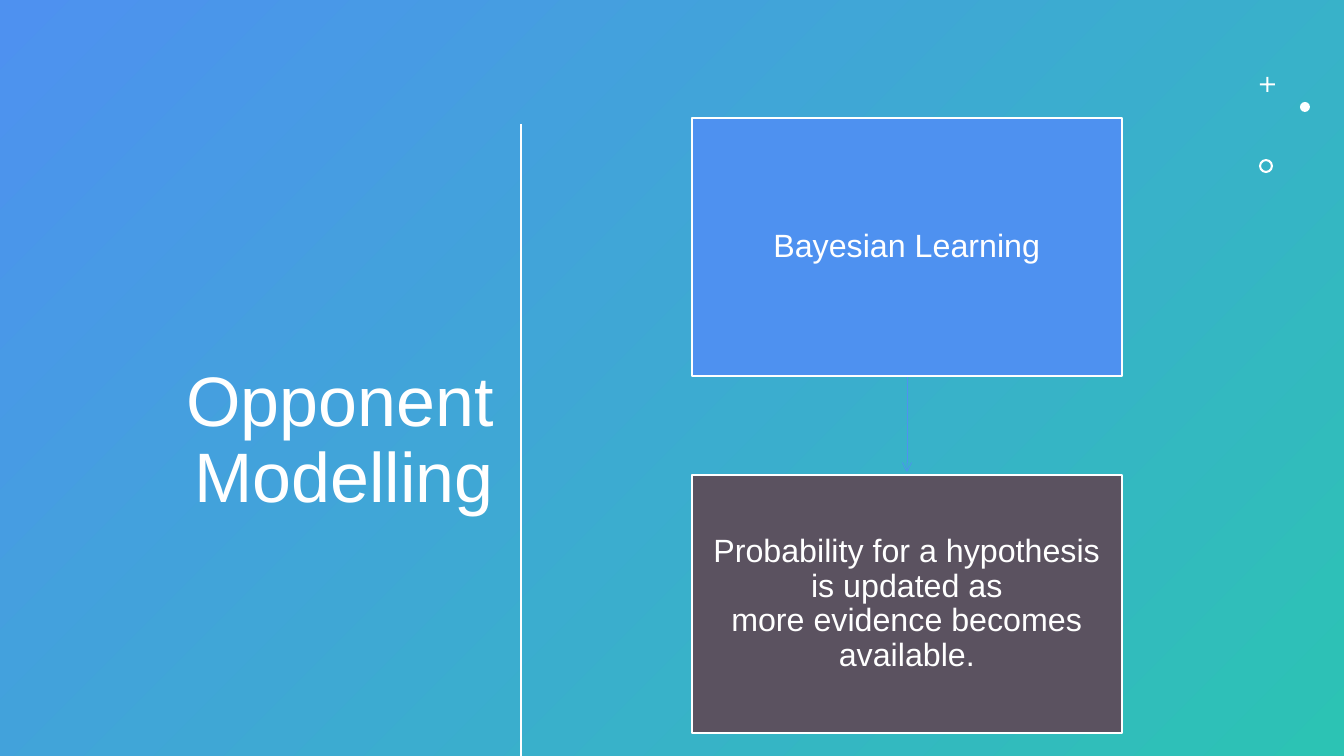
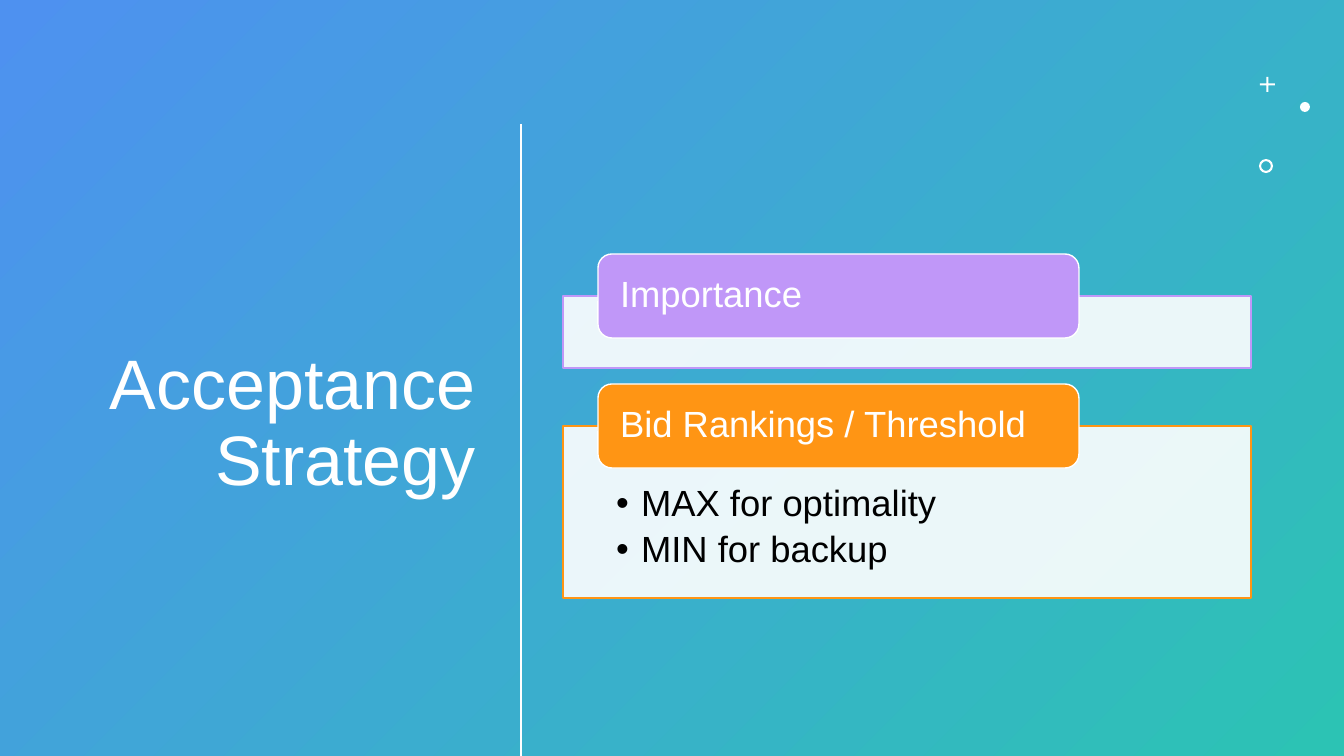
"""Build two slides on opponent modelling and acceptance strategy."""
from lxml.etree import SubElement
from pptx import Presentation
from pptx.dml.color import RGBColor
from pptx.enum.shapes import MSO_CONNECTOR, MSO_SHAPE
from pptx.enum.text import MSO_ANCHOR, PP_ALIGN
from pptx.oxml.ns import qn
from pptx.util import Emu, Pt

SCALE = 914400 / 100.8
WIDE, HIGH = 1344, 756
FONT = "Arial"
COLORS = {
    "white": "FFFFFF",
    "black": "000000",
    "blue": "4E91F0",
    "teal": "2CC3B4",
    "slate": "5B5260",
    "violet": "C097F8",
    "orange": "FF9514",
}


def px(num):
    return Emu(round(num * SCALE))


def color(name):
    return RGBColor.from_string(COLORS[name])


def write(shape, text, size=26, ink="white", align=PP_ALIGN.LEFT,
          anchor=MSO_ANCHOR.MIDDLE, pads=(10, 5, 10, 5), after=0, bullet=False):
    frame = shape.text_frame
    frame.word_wrap = True
    frame.vertical_anchor = anchor
    (frame.margin_left, frame.margin_top,
     frame.margin_right, frame.margin_bottom) = map(px, pads)
    for num, line in enumerate(text.split("\n")):
        para = frame.add_paragraph() if num else frame.paragraphs[0]
        para.alignment = align
        para.line_spacing = 0.9
        para.space_after = Pt(after)
        run = para.add_run()
        run.text = line
        run.font.name = FONT
        run.font.size = Pt(size)
        run.font.color.rgb = color(ink)
        if bullet:
            props = para._p.get_or_add_pPr()
            props.set("marL", str(px(25)))
            props.set("indent", str(-px(25)))
            SubElement(props, qn("a:buFont"), typeface=FONT)
            SubElement(props, qn("a:buChar"), char="•")


def block(slide, kind, box, fill, edge=None, alpha=None):
    shape = slide.shapes.add_shape(kind, *map(px, box))
    shape.shadow.inherit = False
    shape.fill.solid()
    shape.fill.fore_color.rgb = color(fill)
    if alpha:
        tint = shape.fill._xPr.find(".//" + qn("a:srgbClr"))
        SubElement(tint, qn("a:alpha"), val=str(alpha * 1000))
    if edge:
        shape.line.color.rgb = color(edge)
        shape.line.width = Pt(1)
    else:
        shape.line.fill.background()
    return shape


def rule(slide, start, end, ink, width, arrow=False):
    line = slide.shapes.add_connector(
        MSO_CONNECTOR.STRAIGHT, *map(px, start + end))
    line.line.color.rgb = color(ink)
    line.line.width = Pt(width)
    if arrow:
        SubElement(line.line._get_or_add_ln(), qn("a:tailEnd"), type="arrow")
    SubElement(line._element.spPr, qn("a:effectLst"))


def backdrop(slide):
    back = block(slide, MSO_SHAPE.RECTANGLE, (0, 0, WIDE, HIGH), "blue")
    back.fill.gradient()
    back.fill.gradient_angle = 315
    for stop, name in zip(back.fill.gradient_stops, ("blue", "teal")):
        stop.color.rgb = color(name)


def marks(slide):
    plus = block(slide, MSO_SHAPE.CROSS, (1260, 77, 15, 15), "white")
    plus.adjustments[0] = 0.43
    block(slide, MSO_SHAPE.OVAL, (1300, 102, 10, 10), "white")
    ring = block(slide, MSO_SHAPE.DONUT, (1259, 159, 14, 14), "white")
    ring.adjustments[0] = 0.15


def base(deck, title, left, top):
    slide = deck.slides.add_slide(deck.slide_layouts[6])
    backdrop(slide)
    marks(slide)
    rule(slide, (521, 124), (521, HIGH), "white", 2)
    head = slide.shapes.add_textbox(*map(px, (left, top, 434, 616)))
    write(head, title, size=50, align=PP_ALIGN.RIGHT)
    return slide


def step(slide, top, fill, text):
    box = block(slide, MSO_SHAPE.RECTANGLE, (692, top, 430, 258), fill, "white")
    write(box, text, size=23, align=PP_ALIGN.CENTER, pads=(21, 22, 21, 22))


def panel(slide, top, high, hue, label, points=None):
    body = block(slide, MSO_SHAPE.RECTANGLE, (563, top, 688, high),
                 "white", hue, alpha=90)
    if points:
        write(body, points, ink="black", anchor=MSO_ANCHOR.TOP,
              pads=(53, 59, 53, 20), after=5, bullet=True)
    tab = block(slide, MSO_SHAPE.ROUNDED_RECTANGLE, (598, top - 42, 481, 84),
                hue, "white")
    write(tab, label, pads=(18, 0, 18, 0))


def main():
    deck = Presentation()
    deck.slide_width, deck.slide_height = px(WIDE), px(HIGH)

    slide = base(deck, "Opponent Modelling", 70, 134)
    rule(slide, (907, 376), (907, 472), "blue", 0.5, arrow=True)
    step(slide, 118, "blue", "Bayesian Learning")
    step(slide, 475, "slate", "Probability for a hypothesis is updated as "
         "more\u00a0evidence\u00a0becomes available.")

    slide = base(deck, "Acceptance Strategy", 52, 117)
    panel(slide, 296, 72, "violet", "Importance")
    panel(slide, 426, 172, "orange", "Bid Rankings / Threshold",
          "MAX for optimality\nMIN for backup")

    deck.save("out.pptx")


main()
